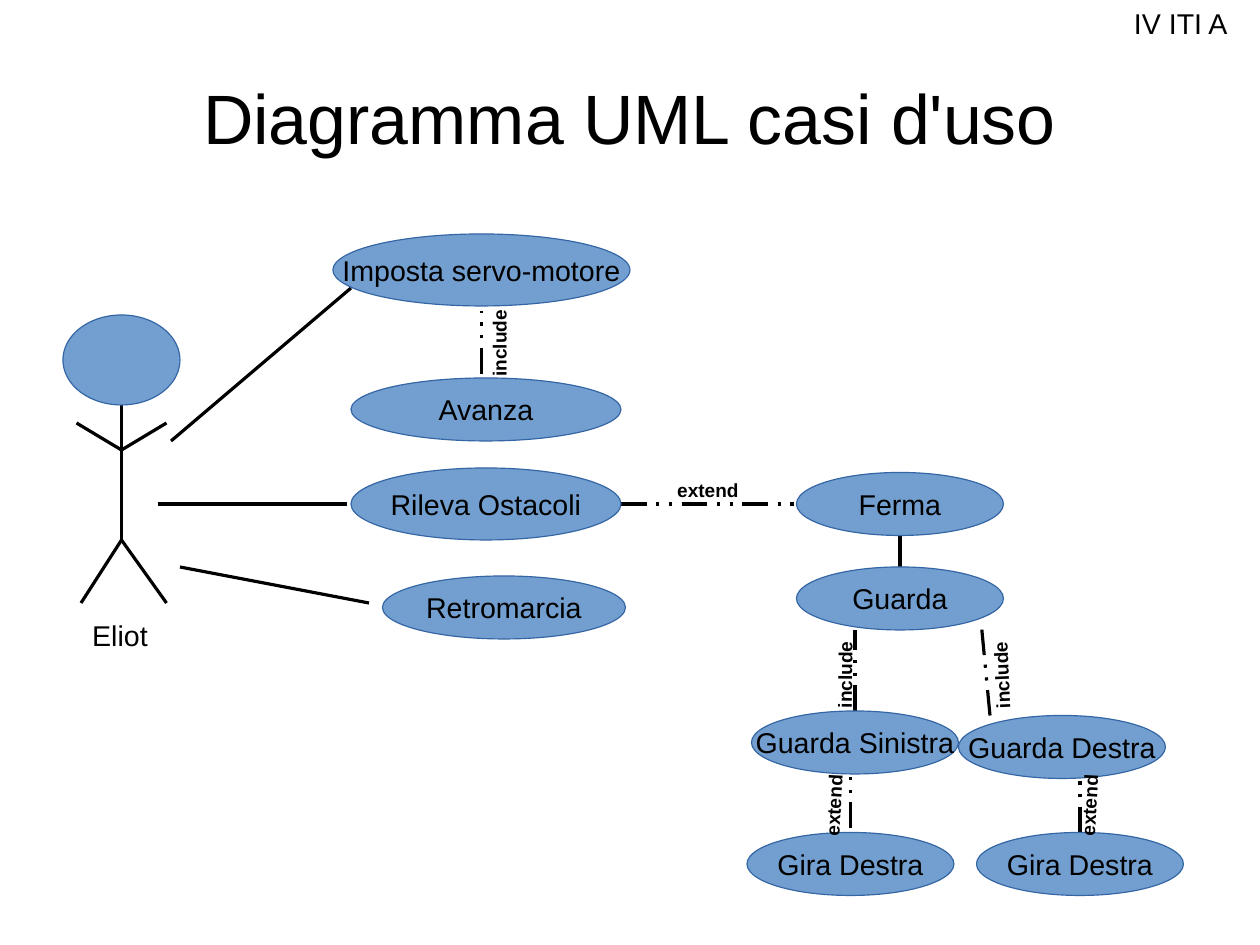
from lxml import etree
from pptx import Presentation
from pptx.dml.color import RGBColor
from pptx.enum.dml import MSO_LINE
from pptx.enum.shapes import MSO_CONNECTOR, MSO_SHAPE
from pptx.enum.text import MSO_ANCHOR as ANCHOR, PP_ALIGN as ALIGN
from pptx.oxml.ns import qn
from pptx.util import Cm, Pt

COLORS = {name: RGBColor.from_string(value) for name, value in {
    "ink": "000000", "oval": "729FCF", "outline": "3465A4"}.items()}
COLS, ROWS = 28, 21

prs = Presentation()
prs.slide_width, prs.slide_height = Cm(COLS), Cm(ROWS)
s = prs.slides.add_slide(prs.slide_layouts[6])


def grid(*cells):
    """Turn columns and rows of the square slide grid into lengths."""
    return [round(n * prs.slide_width / COLS) for n in cells]


def write(sp, text, size, align=ALIGN.LEFT, anchor=ANCHOR.TOP, wrap=True, bold=False):
    tf = sp.text_frame
    tf.text = text
    tf.word_wrap = wrap
    tf.vertical_anchor = anchor
    p = tf.paragraphs[0]
    p.alignment = align
    font = p.runs[0].font
    font.name, font.size, font.bold = "Arial", Pt(size), bold
    font.color.rgb = COLORS["ink"]


# Title
title = s.shapes.add_textbox(*grid(1.4, 0.84, 25.2, 3.5))
write(title, "Diagramma UML casi d'uso", 44, ALIGN.CENTER, ANCHOR.MIDDLE)
tf = title.text_frame
tf.margin_left = tf.margin_right = tf.margin_top = tf.margin_bottom = 0

# Lines: start column and row, end column and row
solid_lines = [
    # actor: body, arms, legs
    (2.7, 9, 2.7, 12),
    (2.7, 10, 1.7, 9.4),
    (2.7, 10, 3.7, 9.4),
    (2.7, 12, 3.7, 13.4),
    (2.7, 12, 1.8, 13.4),
    # associations
    (3.8, 9.8, 7.8, 6.4),
    (3.5, 11.2, 7.7, 11.2),
    (4, 12.6, 8.2, 13.4),
    (20, 11.9, 20, 13),
]
dashed_lines = [
    (13.8, 11.2, 17.8, 11.2),
    (10.7, 8.3, 10.7, 6.9),
    (22, 15.9, 21.8, 13.8),
    (19, 15.8, 19, 14),
    (18.9, 18.4, 18.9, 17.2),
    (24, 18.5, 24, 17.3),
]
for lines, dash in ((solid_lines, MSO_LINE.SOLID),
                    (dashed_lines, MSO_LINE.DASH_DOT_DOT)):
    for ends in lines:
        line = s.shapes.add_connector(MSO_CONNECTOR.STRAIGHT, *grid(*ends))
        line.line.color.rgb = COLORS["ink"]
        line.line.width = 0
        line.line.dash_style = dash
        etree.SubElement(line._element.spPr, qn("a:effectLst"))

# Use cases and the actor's head: text, column, row, width, height
ovals = [
    ("", 1.4, 7, 2.6, 2),
    ("Imposta servo-motore", 7.4, 5.2, 6.6, 1.6),
    ("Avanza", 7.8, 8.4, 6, 1.4),
    ("Rileva Ostacoli", 7.8, 10.4, 6, 1.6),
    ("Retromarcia", 8.5, 12.8, 5.4, 1.4),
    ("Ferma", 17.7, 10.5, 4.6, 1.4),
    ("Guarda", 17.7, 12.6, 4.6, 1.4),
    ("Guarda Sinistra", 16.7, 15.8, 4.6, 1.4),
    ("Guarda Destra", 21.3, 15.9, 4.6, 1.4),
    ("Gira Destra", 16.6, 18.5, 4.6, 1.4),
    ("Gira Destra", 21.7, 18.5, 4.6, 1.4),
]
for text, *box in ovals:
    sp = s.shapes.add_shape(MSO_SHAPE.OVAL, *grid(*box))
    sp.shadow.inherit = False
    sp.fill.solid()
    sp.fill.fore_color.rgb = COLORS["oval"]
    sp.line.color.rgb = COLORS["outline"]
    sp.line.width = 0
    if text:
        write(sp, text, 18, ALIGN.CENTER, ANCHOR.MIDDLE, wrap=False)

# Labels: text, size, rotation, column, row, width, height
labels = [
    ("IV ITI A", 18, 0, 24.95, 0, 3.05, 1),
    ("Eliot", 18, 0, 1.8, 13.6, 3.6, 1.68),
    ("extend", 12, 0, 14.8, 10.5, 2.8, 1.68),
    ("include", 12, 269.9, 9.95, 6.18, 3.2, 1.68),
    ("include", 12, 270.6, 17.58, 14.2, 2.6, 0.97),
    ("include", 12, 267.5, 21.06, 14.22, 2.57, 0.97),
    ("extend", 12, 273.2, 17.15, 17.05, 2.8, 0.76),
    ("extend", 12, 273.2, 22.83, 17.05, 2.8, 0.76),
]
for text, size, rotation, *box in labels:
    label = s.shapes.add_textbox(*grid(*box))
    label.rotation = rotation
    write(label, text, size, bold=size == 12)

prs.save("out.pptx")
